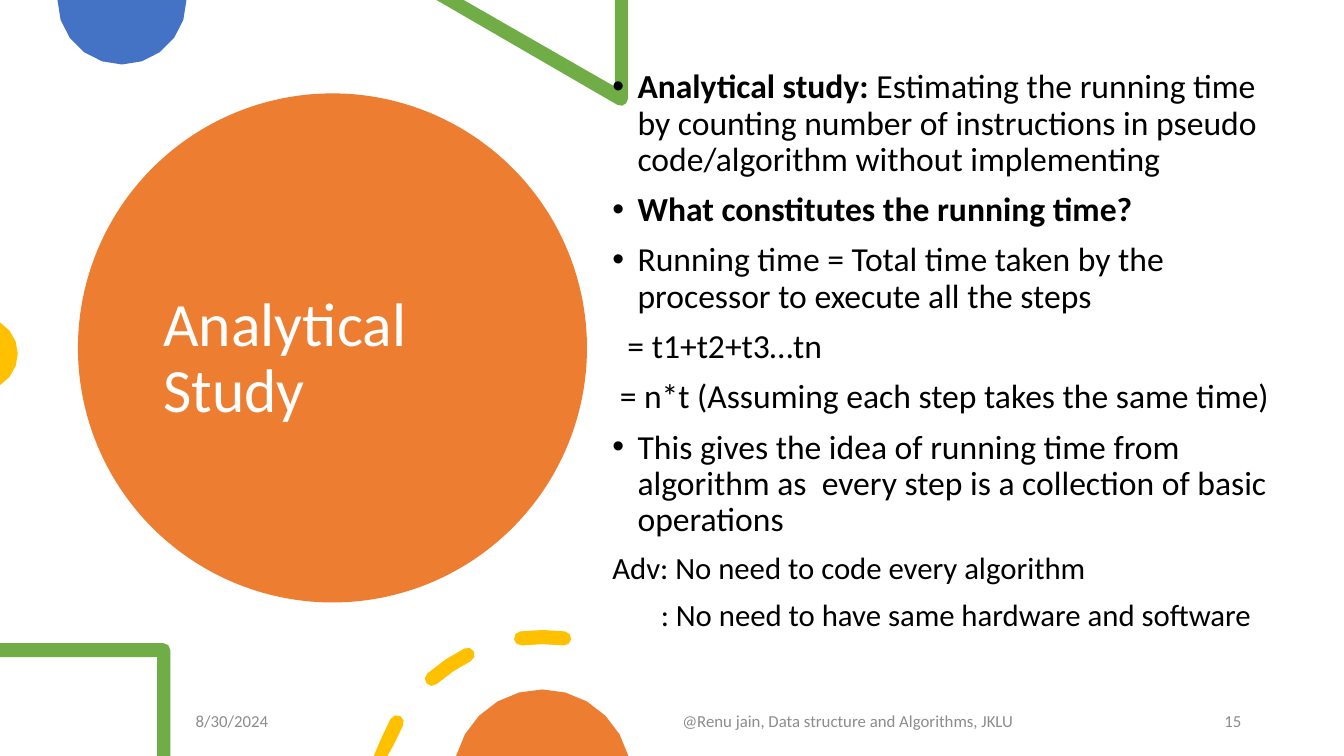
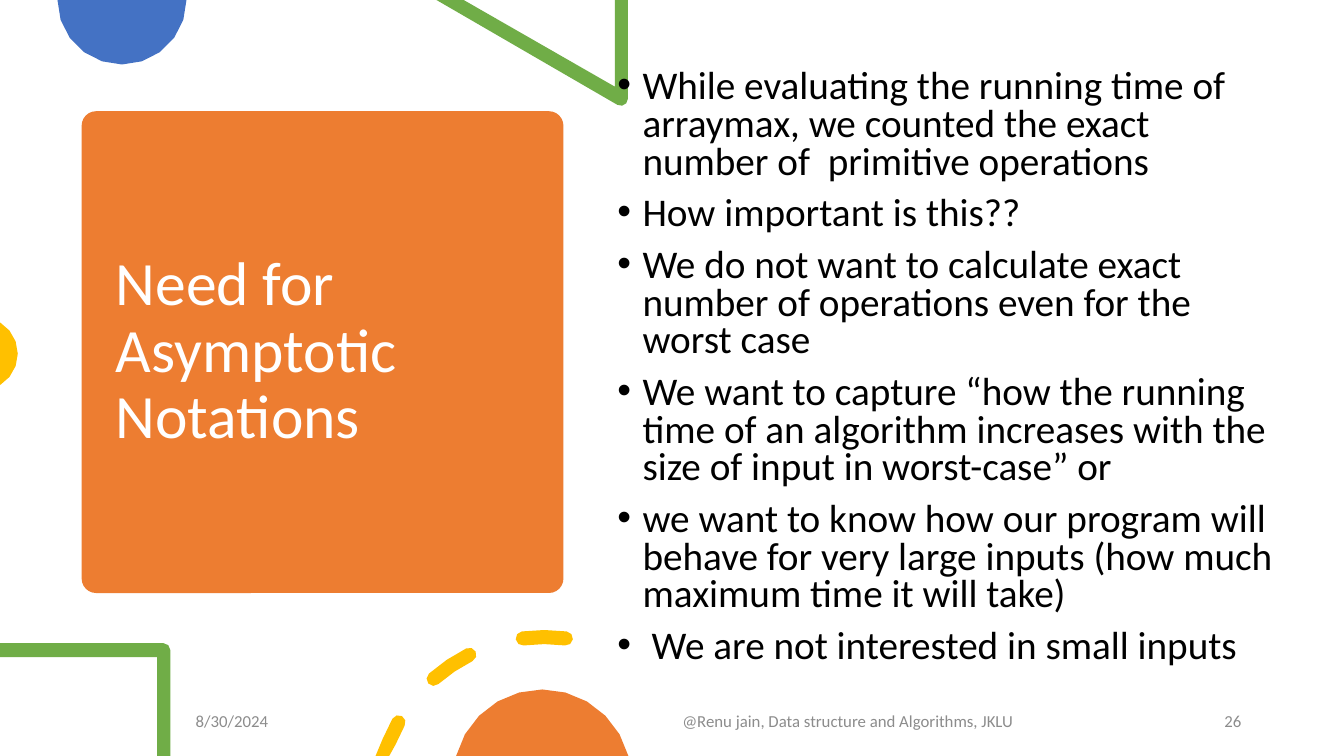
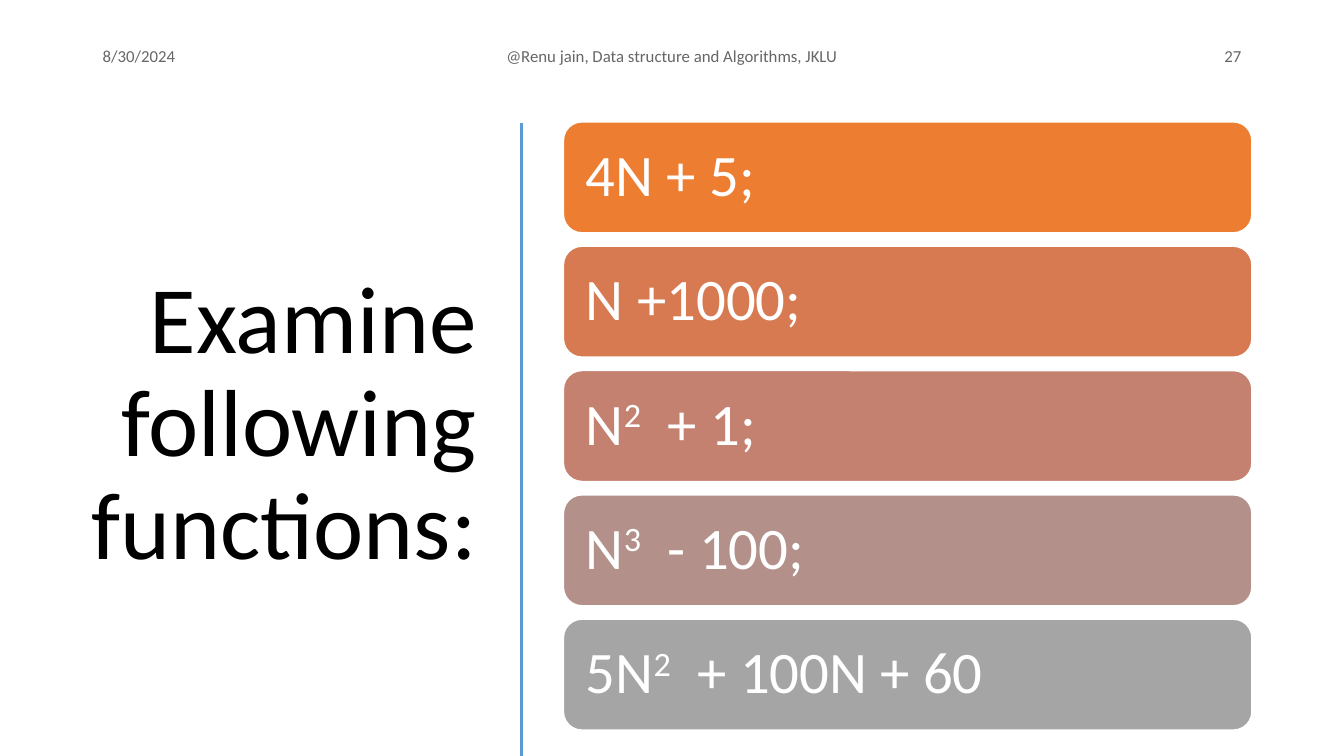
from math import cos, radians, sin

from lxml.etree import SubElement
from pptx import Presentation
from pptx.dml.color import RGBColor
from pptx.enum.shapes import MSO_CONNECTOR as Connector, MSO_SHAPE as Preset
from pptx.enum.text import MSO_ANCHOR as Anchor, PP_ALIGN as Align
from pptx.oxml.ns import qn
from pptx.util import Inches, Pt

COLUMNS, ROWS = 40, 22.5
MODULE = Inches(1) / 3
FONT = "Calibri"
BULLET_FONT = "Arial"
COLORS = {
    "orange": "ED7D31", "green": "70AD47", "yellow": "FFC000", "blue": "4472C4",
    "rule": "5B9BD5", "white": "FFFFFF", "black": "000000",
    "footer": "8C8C8C", "header": "666666",
    "bar 1": "ED7D31", "bar 2": "D87A51", "bar 3": "C48170",
    "bar 4": "B4908B", "bar 5": "A5A5A5",
}
DATE = "8/30/2024"
CREDIT = "@Renu jain, Data structure and Algorithms, JKLU"
BULLET_INDENT = 0.75


def grid(modules):
    return round(modules * MODULE)


def rgb(color):
    return RGBColor.from_string(COLORS[color])


def apply(target, values):
    for name, value in values.items():
        setattr(target, name, value)


def arc(center, radius, start, end, steps):
    """Points along a circle; degrees run counter-clockwise from the right."""
    angles = [radians(start + (end - start) * i / steps) for i in range(steps + 1)]
    return [(center[0] + radius * cos(a), center[1] - radius * sin(a)) for a in angles]


def dash(center, radius, half, start, end):
    """Outline of a ring segment with round ends, cut at the slide's bottom."""
    first, last = arc(center, radius, start, end, 1)
    outline = (arc(center, radius + half, start, end, 2)
               + arc(last, half, end, end + 180, 4)[1:-1]
               + arc(center, radius - half, end, start, 2)
               + arc(first, half, start + 180, start + 360, 4)[1:-1])
    return [(x, min(y, ROWS)) for x, y in outline]


class Deck:
    """Holds the style and the current slide; lengths are grid modules."""

    def __init__(self):
        self.file = Presentation()
        apply(self.file, {"slide_width": grid(COLUMNS), "slide_height": grid(ROWS)})

    def new_slide(self):
        self.shapes = self.file.slides.add_slide(self.file.slide_layouts[6]).shapes

    def paint(self, shape, color, outline=None):
        shape.shadow.inherit = False
        shape.fill.solid()
        shape.fill.fore_color.rgb = rgb(color)
        if outline:
            shape.line.color.rgb = rgb(outline)
            shape.line.width = Pt(1)
        else:
            shape.line.fill.background()

    def preset(self, kind, box, color, corner=None, outline=None):
        shape = self.shapes.add_shape(kind, *map(grid, box))
        if corner is not None:
            shape.adjustments[0] = corner
        self.paint(shape, color, outline)
        return shape

    def outline(self, color, *contours):
        builder = None
        for contour in contours:
            first, *rest = [(grid(x), grid(y)) for x, y in contour]
            if builder:
                builder.move_to(*first)
            else:
                builder = self.shapes.build_freeform(*first)
            builder.add_line_segments(rest, close=True)
        self.paint(builder.convert_to_shape(), color)

    def rule(self, x, top, bottom):
        line = self.shapes.add_connector(Connector.STRAIGHT, *map(grid, (x, top, x, bottom)))
        line.line.color.rgb = rgb("rule")
        line.line.width = Pt(2)
        SubElement(line._element.spPr, qn("a:effectLst"))

    def run(self, paragraph, text, size, color, bold=False, raised=False):
        run = paragraph.add_run()
        run.text = text
        apply(run.font, {"name": FONT, "size": Pt(size), "bold": bold})
        run.font.color.rgb = rgb(color)
        if raised:
            run._r.get_or_add_rPr().set("baseline", "30000")

    def text(self, box, text, size, color, align=Align.LEFT, spacing=1):
        frame = self.shapes.add_textbox(*map(grid, box)).text_frame
        apply(frame, {"word_wrap": True, "vertical_anchor": Anchor.MIDDLE})
        apply(frame.paragraphs[0], {"alignment": align, "line_spacing": spacing})
        self.run(frame.paragraphs[0], text, size, color)

    def title(self, box, text, size=44, color="white", align=Align.LEFT):
        self.text(box, text, size, color, align, 0.9)

    def body(self, box, items, spacing):
        """Each item: (runs of text and bold, size, bulleted, indent of first line)."""
        frame = self.shapes.add_textbox(*map(grid, box)).text_frame
        frame.word_wrap = True
        for i, (runs, size, bulleted, indent) in enumerate(items):
            paragraph = frame.add_paragraph() if i else frame.paragraphs[0]
            apply(paragraph, {"line_spacing": spacing, "space_before": Pt(10 if i else 0)})
            properties = paragraph._p.get_or_add_pPr()
            properties.set("marL", str(grid(indent)))
            properties.set("indent", str(grid(-indent if bulleted else 0)))
            if bulleted:
                SubElement(properties, qn("a:buFont"), typeface=BULLET_FONT)
                SubElement(properties, qn("a:buChar"), char="•")
            else:
                SubElement(properties, qn("a:buNone"))
            for text, bold in runs:
                self.run(paragraph, text, size, "black", bold)

    def marks(self, number, top, color, spans, credit_align):
        """Date, credit and slide number; spans are (left, width) pairs."""
        aligns = Align.LEFT, credit_align, Align.RIGHT
        for (left, width), text, align in zip(spans, (DATE, CREDIT, number), aligns):
            self.text((left, top, width, 1.2), text, 12, color, align)

    def decoration(self, ring_x):
        self.outline("blue", arc((3.63, 0), 1.92, 180, 360, 10))
        self.outline("green", [(18.69, 0), (18.3, 0), (18.3, 2.58), (13.8, 0), (12.99, 0)]
                     + arc((18.48, 2.94), 0.21, 240, 360, 3))
        self.outline("yellow", arc((-0.56, 10.53), 1.09, -59, 59, 6))
        self.outline("green", [(0, 19.14), (0, 19.56), (4.68, 19.56), (4.68, ROWS),
                               (5.07, ROWS)] + arc((4.86, 19.35), 0.21, 0, 90, 2))
        self.outline("yellow", *[dash((ring_x, 23.94), 4.98, 0.21, start, start + 14.8)
                                 for start in (150.6, 116.6, 82.6)])
        self.outline("orange", arc((16.14, 23.17), 2.65, 14.7, 165.3, 10))

    def panel_slide(self, panel, title, ring_x, body, number):
        self.new_slide()
        self.preset(*panel)
        self.title(*title)
        self.decoration(ring_x)
        self.body(*body)
        self.marks(number, 20.85, "footer",
                   [(5.53, 5.07), (20.01, 14.13), (34.45, 2.79)], Align.LEFT)

    def function_bar(self, box, color, parts):
        bar = self.preset(Preset.ROUNDED_RECTANGLE, box, color, outline="white")
        frame = bar.text_frame
        apply(frame, {"word_wrap": True, "vertical_anchor": Anchor.MIDDLE,
                      "margin_left": grid(0.51), "margin_right": grid(0.51)})
        paragraph = frame.paragraphs[0]
        apply(paragraph, {"alignment": Align.LEFT, "line_spacing": 0.9})
        for i, part in enumerate(parts):
            self.run(paragraph, part, 42, "white", raised=i == 1)


def point(text, size, indent=BULLET_INDENT):
    return [(text, False)], size, True, indent


def plain(text, size, indent=0):
    return [(text, False)], size, False, indent


STUDY = [
    ([("Analytical study: ", True),
      ("Estimating the running time by counting number of instructions in pseudo "
       "code/algorithm without implementing", False)], 24, True, BULLET_INDENT),
    ([("What constitutes the running time?", True)], 24, True, BULLET_INDENT),
    point("Running time = Total time taken by the processor to execute all the steps", 24),
    plain("= t1+t2+t3…tn", 24, 0.45),
    plain("= n*t (Assuming each step takes the same time)", 24, 0.22),
    point("This gives the idea of running time from algorithm as  every step is a "
          "collection of basic operations", 24),
    plain("Adv: No need to code every algorithm", 22),
    plain(": No need to have same hardware and software", 22, 1.44),
]
NEED = [point(text, 28) for text in (
    "While evaluating the running time of arraymax, we counted the exact number of  "
    "primitive operations",
    "How important is this??",
    "We do not want to calculate exact number of operations even for the worst case",
    "We want to capture “how the running time of an algorithm increases with the size "
    "of input in worst-case” or",
    "we want to know how our program will behave for very large inputs (how much "
    "maximum time it will take)",
)] + [point("We are not interested in small inputs", 28, 1.02)]
FUNCTIONS = [["4N + 5;"], ["N +1000;"], ["N", "2", "  + 1;"],
             ["N", "3", "  - 100;"], ["5N", "2", "  + 100N + 60"]]


def main():
    deck = Deck()
    deck.panel_slide(
        (Preset.OVAL, (2.32, 2.78, 15.15, 15.15), "orange"),
        ((4.56, 4.03, 10.62, 13.35), "Analytical Study"),
        16.15, ((17.93, 1.93, 20.34, 19.17), STUDY, 0.9), "15")
    deck.panel_slide(
        (Preset.ROUNDED_RECTANGLE, (2.43, 3.31, 14.34, 14.34), "orange", 0.03),
        ((3.15, 3.64, 12.93, 13.68), "Need for Asymptotic Notations"),
        16.2, ((18.08, 1.93, 20.19, 18.48), NEED, 0.8), "26")

    deck.new_slide()
    deck.title((1.56, 3.51, 12.93, 18.33), "Examine following functions:",
               68, "black", Align.RIGHT)
    deck.marks("27", 1.05, "header",
               [(2.76, 9), (13.25, 13.5), (28.24, 9)], Align.CENTER)
    deck.rule(15.51, 3.67, ROWS)
    for i, parts in enumerate(FUNCTIONS):
        deck.function_bar((16.77, 3.63 + 3.7 * i, 20.49, 3.3), f"bar {i + 1}", parts)
    deck.file.save("out.pptx")


if __name__ == "__main__":
    main()
